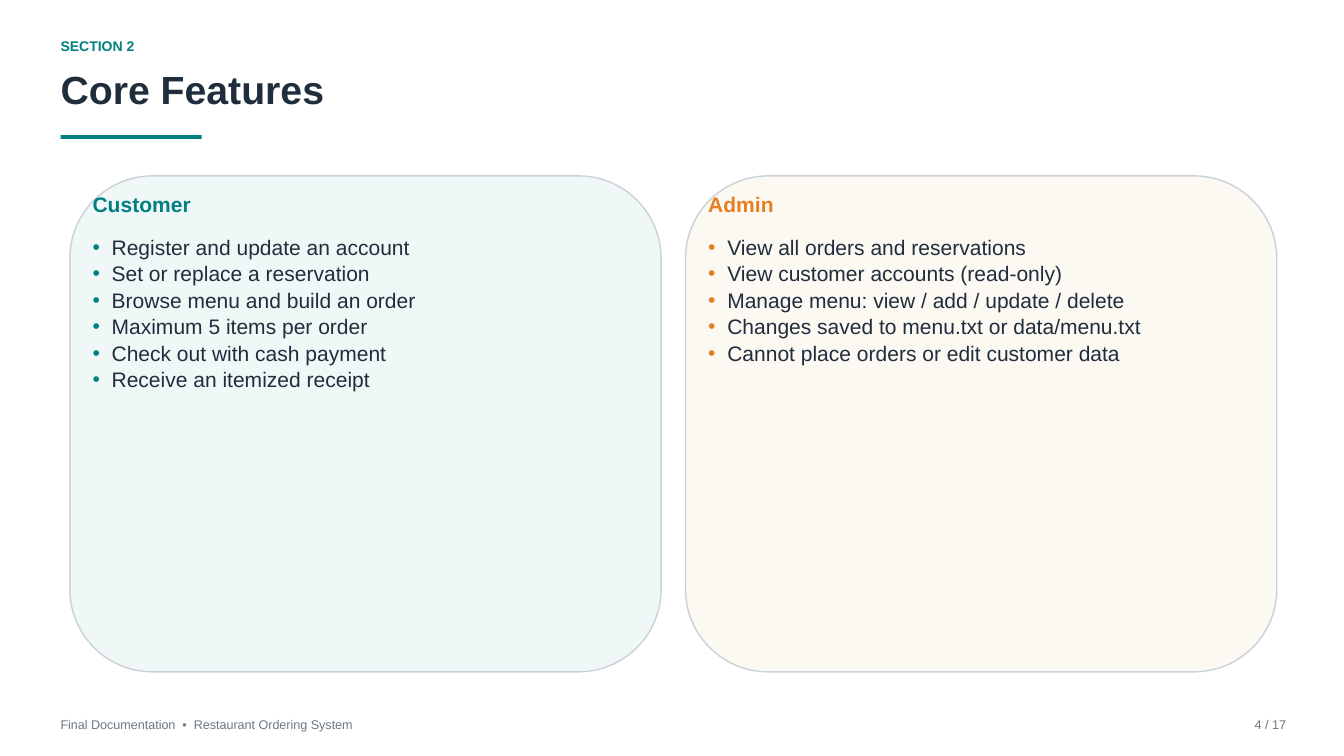
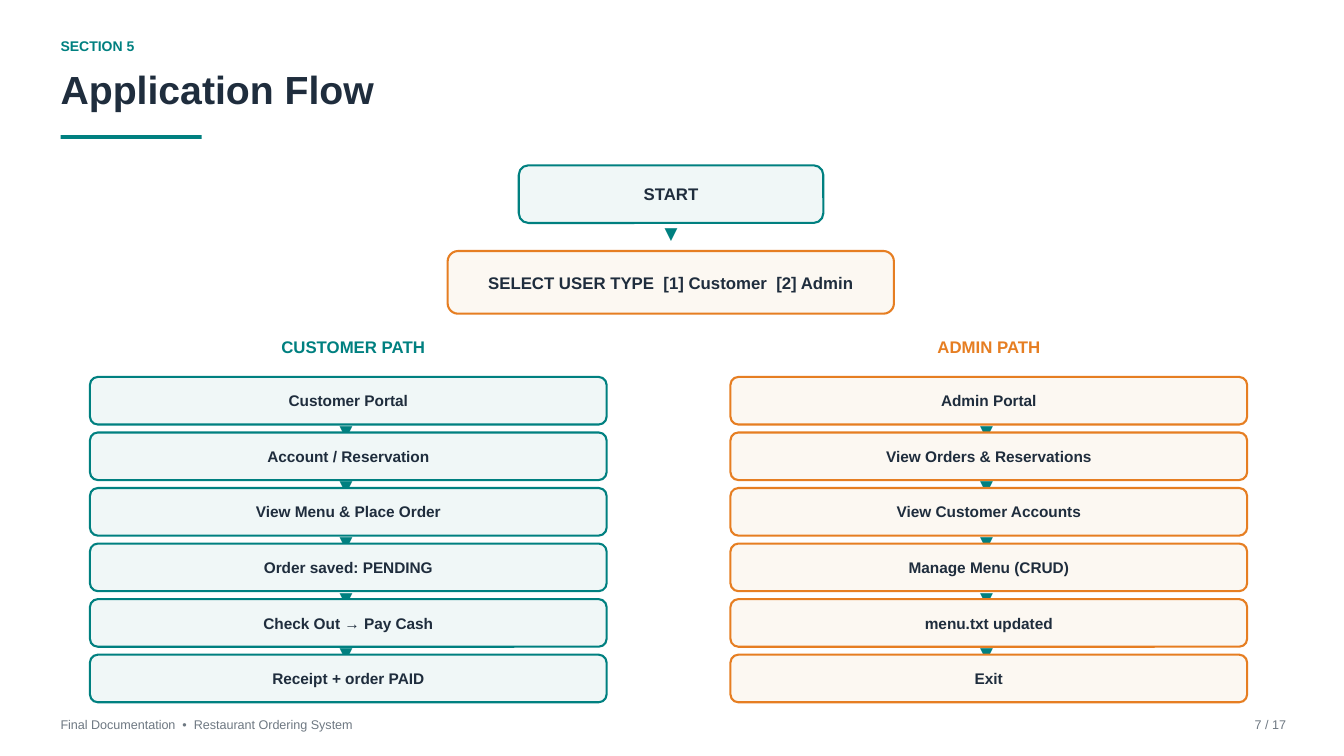
import lxml.etree
import pptx
import pptx.dml.color
import pptx.enum.shapes
import pptx.enum.text
import pptx.oxml.ns
import pptx.util

Cm, Pt = pptx.util.Cm, pptx.util.Pt
Align = pptx.enum.text.PP_ALIGN
Anchor = pptx.enum.text.MSO_ANCHOR
Kind = pptx.enum.shapes.MSO_SHAPE

TEAL, ORANGE, INK, GREY, EDGE = "008080", "E67E22", "1F2D3D", "6E7882", "C8D2D7"
MINT, CREAM = "F0F7F7", "FCF8F2"
LEFT = 2.29
FOOTER = "Final Documentation  •  Restaurant Ordering System"
PAGES = 17

CARDS = [
    ("Customer", TEAL, MINT, [
        "Register and update an account",
        "Set or replace a reservation",
        "Browse menu and build an order",
        "Maximum 5 items per order",
        "Check out with cash payment",
        "Receive an itemized receipt",
    ]),
    ("Admin", ORANGE, CREAM, [
        "View all orders and reservations",
        "View customer accounts (read-only)",
        "Manage menu: view / add / update / delete",
        "Changes saved to menu.txt or data/menu.txt",
        "Cannot place orders or edit customer data",
    ]),
]

PATHS = [
    ("CUSTOMER PATH", TEAL, MINT, [
        "Customer Portal",
        "Account / Reservation",
        "View Menu & Place Order",
        "Order saved: PENDING",
        "Check Out → Pay Cash",
        "Receipt + order PAID",
    ]),
    ("ADMIN PATH", ORANGE, CREAM, [
        "Admin Portal",
        "View Orders & Reservations",
        "View Customer Accounts",
        "Manage Menu (CRUD)",
        "menu.txt updated",
        "Exit",
    ]),
]


def rgb(code):
    return pptx.dml.color.RGBColor.from_string(code)


class Deck:
    """Holds the deck style and the slide being built."""

    def __init__(self):
        self.file = pptx.Presentation()
        self.file.slide_width = Cm(50.8)
        self.file.slide_height = Cm(28.58)
        self.slide = None

    def set_text(self, shape, lines, size, color, bold=False, align=Align.LEFT,
                 font="Arial", pitch=1.2, pad=0, anchor=Anchor.TOP):
        frame = shape.text_frame
        frame.text = "\n".join(lines)
        frame.word_wrap = True
        frame.auto_size = pptx.enum.text.MSO_AUTO_SIZE.NONE
        frame.vertical_anchor = anchor
        frame.margin_left = frame.margin_right = Cm(pad)
        frame.margin_top = frame.margin_bottom = Cm(pad)
        for para in frame.paragraphs:
            para.alignment = align
            para.line_spacing = Pt(round(size * pitch, 1))
            for run in para.runs:
                run.font.name = font
                run.font.size = Pt(size)
                run.font.bold = bold
                run.font.color.rgb = rgb(color)

    def label(self, area, text, size, color, **style):
        box = self.slide.shapes.add_textbox(*map(Cm, area))
        self.set_text(box, [text], size, color, **style)

    def bullets(self, area, lines, color):
        box = self.slide.shapes.add_textbox(*map(Cm, area))
        self.set_text(box, lines, 22.5, INK, pitch=1.26)
        name = pptx.oxml.ns.qn
        add = lxml.etree.SubElement
        for para in box.text_frame.paragraphs:
            props = para._p.get_or_add_pPr()
            props.set("marL", str(Cm(0.72)))
            props.set("indent", str(-Cm(0.72)))
            add(add(props, name("a:buClr")), name("a:srgbClr"), val=color)
            add(props, name("a:buFont"), typeface="Arial")
            add(props, name("a:buChar"), char="•")

    def panel(self, area, fill, line=None, width=2.25, kind=Kind.ROUNDED_RECTANGLE):
        shape = self.slide.shapes.add_shape(kind, *map(Cm, area))
        shape.shadow.inherit = False
        shape.fill.solid()
        shape.fill.fore_color.rgb = rgb(fill)
        if line:
            shape.line.color.rgb = rgb(line)
            shape.line.width = Pt(width)
        else:
            shape.line.fill.background()
        return shape

    def step(self, area, text, size, fill, line):
        shape = self.panel(area, fill, line)
        self.set_text(shape, [text], size, INK, bold=True, align=Align.CENTER,
                      pad=0.15, anchor=Anchor.MIDDLE)

    def arrow(self, area):
        self.label(area, "▼", 18, TEAL, bold=True, align=Align.CENTER, font="Cabin")

    def start(self, section, title, page):
        self.slide = self.file.slides.add_slide(self.file.slide_layouts[5])
        self.label((LEFT, 1.4, 30.5, 1.02), section, 15, TEAL, bold=True)
        head = self.slide.shapes.title
        head.left, head.top, head.width, head.height = map(Cm, (LEFT, 2.46, 46.13, 2.41))
        self.set_text(head, [title], 42, INK, bold=True)
        self.panel((LEFT, 5.11, 5.33, 0.14), TEAL, kind=Kind.RECTANGLE)
        self.label((LEFT, 27.1, 34.3, 0.89), FOOTER, 13.5, GREY)
        self.label((45.36, 27.1, 3.25, 0.89), f"{page} / {PAGES}", 13.5, GREY,
                   align=Align.RIGHT)


def draw_cards(deck):
    deck.start("SECTION 2", "Core Features", 4)
    for col, (name, color, fill, lines) in enumerate(CARDS):
        left = 2.64 + col * 23.27
        deck.panel((left, 6.65, 22.35, 18.75), fill, EDGE, 1.5)
        deck.label((left + 0.86, 7.24, 20.62, 1.27), name, 22.5, color, bold=True)
        deck.bullets((left + 0.86, 8.81, 20.62, 16.1), lines, color)


def draw_flow(deck):
    deck.start("SECTION 5", "Application Flow", 7)
    deck.step((19.61, 6.25, 11.51, 2.18), "START", 18, MINT, TEAL)
    deck.arrow((24.41, 8.41, 1.91, 1.02))
    deck.step((16.92, 9.49, 16.87, 2.37), "SELECT USER TYPE  [1] Customer  [2] Admin",
              18, CREAM, ORANGE)
    for col, (name, color, fill, steps) in enumerate(PATHS):
        deck.label((3.05 + col * 24.03, 12.73, 20.6, 1.19), name, 18, color,
                   bold=True, align=Align.CENTER)
        left = 3.4 + col * 24.21
        for row, text in enumerate(steps):
            top = 14.25 + row * 2.1
            if row:
                deck.arrow((left + 8.92, top - 0.45, 1.52, 0.71))
            deck.step((left, top, 19.53, 1.8), text, 16.5, fill, color)


def main():
    deck = Deck()
    draw_cards(deck)
    draw_flow(deck)
    deck.file.save("out.pptx")


if __name__ == "__main__":
    main()
